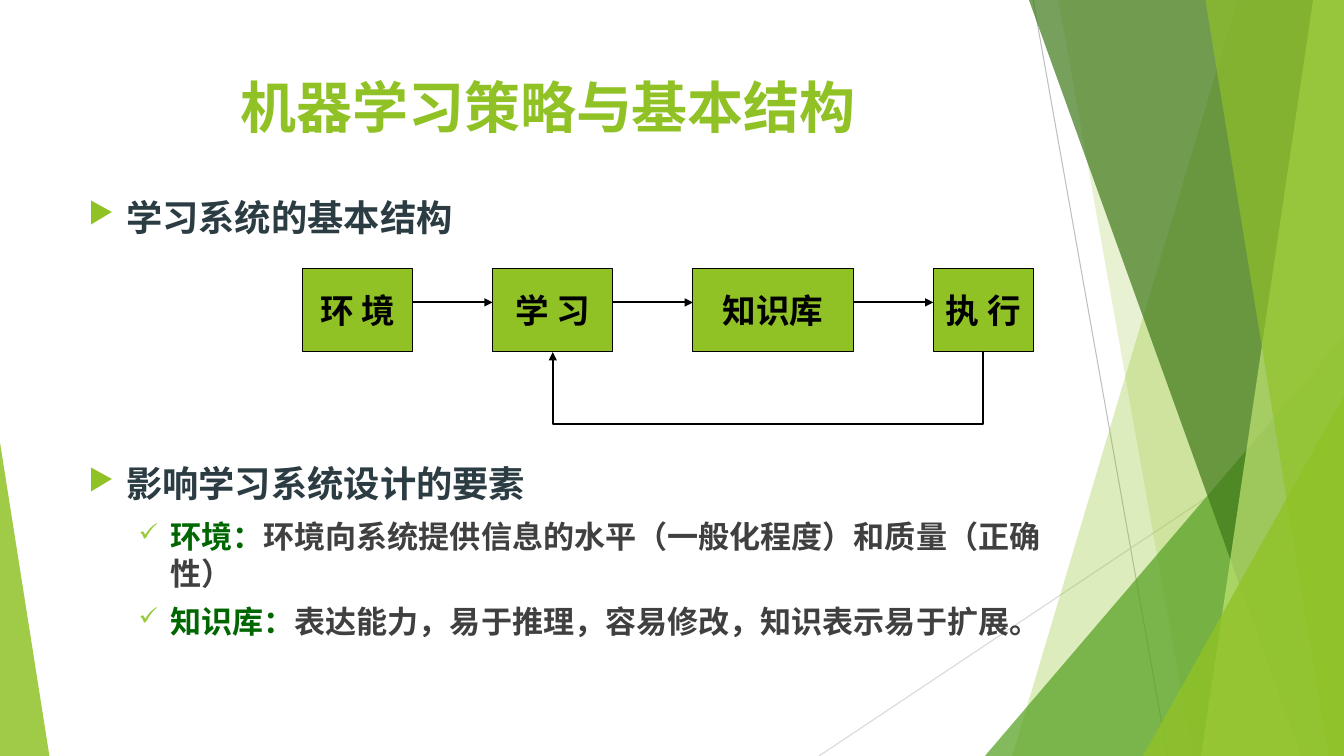
"""Build the slide on machine learning strategy and basic structure."""
from lxml import etree
from pptx import Presentation
from pptx.dml.color import RGBColor
from pptx.enum.shapes import MSO_CONNECTOR, MSO_SHAPE
from pptx.enum.text import MSO_ANCHOR, PP_ALIGN
from pptx.oxml.ns import qn
from pptx.util import Pt

STRAIGHT, ELBOW = MSO_CONNECTOR.STRAIGHT, MSO_CONNECTOR.ELBOW
RECTANGLE, TRIANGLE = MSO_SHAPE.RECTANGLE, MSO_SHAPE.ISOSCELES_TRIANGLE
TOP, MIDDLE = MSO_ANCHOR.TOP, MSO_ANCHOR.MIDDLE
LEFT, CENTER = PP_ALIGN.LEFT, PP_ALIGN.CENTER

FONT = "Noto Sans CJK SC"
BULLET_FONT = "OpenSymbol"
GREEN = RGBColor(0x90, 0xC2, 0x26)
MID_GREEN = RGBColor(0x54, 0xA0, 0x21)
DEEP_GREEN = RGBColor(0x3F, 0x78, 0x19)
PALE_GREEN = RGBColor(0xC0, 0xE4, 0x74)
CHECK_GREEN = RGBColor(0x99, 0xCA, 0x3C)
TERM_GREEN = RGBColor(0x00, 0x66, 0x00)
SLATE = RGBColor(0x2C, 0x3C, 0x43)
DARK_GRAY = RGBColor(0x40, 0x40, 0x40)
GRAY = RGBColor(0xBF, 0xBF, 0xBF)
LIGHT_GRAY = RGBColor(0xD9, 0xD9, 0xD9)
BLACK = RGBColor(0, 0, 0)

SLIDE_WIDTH, SLIDE_HEIGHT = 960, 540
TITLE = "机器学习策略与基本结构"
HEADING = {"size": 25.9, "margin": 27, "hang": 27, "bullet": "▶", "color": GREEN}
ELEMENT = {"size": 22.2, "margin": 58.5, "hang": 22.5, "bullet": "✓", "color": CHECK_GREEN}
BODY = [
    (HEADING, 0, [("学习系统的基本结构", SLATE)]),
    (HEADING, 159, [("影响学习系统设计的要素", SLATE)]),
    (ELEMENT, 9, [("环境：", TERM_GREEN),
                  ("环境向系统提供信息的水平（一般化程度）和质量（正确性）", DARK_GRAY)]),
    (ELEMENT, 7, [("知识库：", TERM_GREEN),
                  ("表达能力，易于推理，容易修改，知识表示易于扩展。", DARK_GRAY)]),
]
STAGES = [("环 境", 78.6), ("学 习", 85.8), ("知识库", 114.4), ("执 行", 71.5)]
STAGE_LEFT, STAGE_TOP, STAGE_HEIGHT, STAGE_GAP = 216, 192, 59, 57.3
ARROW_Y, FEEDBACK_DROP = 216, 53

RAYS = [((738, 0), (834, 540), GRAY), ((960, 290), (585, 540), LIGHT_GRAY)]
BACKDROP = [
    ("band", (884, 723), GREEN, 30),
    ("band", (756, 852), GREEN, 20),
    ("triangle", (703.5, 240, 256.5, 1), MID_GREEN, 72),
    ("band", (735, 929.5), DEEP_GREEN, 70),
    ("band", (938, 858), PALE_GREEN, 70),
    ("band", (861, 949), GREEN, 65),
    ("triangle", (816.5, 283, 143.5, 1), GREEN, 80),
    ("triangle", (0, 316, 35.3, 0), GREEN, 85),
]


def add_element(parent, tag, **attributes):
    return etree.SubElement(parent, qn(tag), attributes)


def fill_shape(shape, color, opacity=100):
    shape.shadow.inherit = False
    shape.fill.solid()
    shape.fill.fore_color.rgb = color
    if opacity < 100:
        color_node = shape._element.spPr.find(qn("a:solidFill"))[0]
        add_element(color_node, "a:alpha", val=str(opacity * 1000))


def add_run(paragraph, text, size, color):
    run = paragraph.add_run()
    run.text = text
    run.font.size = Pt(size)
    run.font.bold = True
    run.font.color.rgb = color
    run.font.name = FONT
    add_element(run._r.get_or_add_rPr(), "a:ea", typeface=FONT)


def add_line(slide, kind, begin, end, color, width, arrow=False):
    points = [Pt(value) for value in (*begin, *end)]
    connector = slide.shapes.add_connector(kind, *points)
    connector.line.color.rgb = color
    connector.line.width = Pt(width)
    if arrow:
        add_element(connector.line._get_or_add_ln(), "a:tailEnd", type="triangle")
    add_element(connector._element.spPr, "a:effectLst")
    return connector


def add_backdrop(slide):
    for begin, end, color in RAYS:
        add_line(slide, STRAIGHT, begin, end, color, 0.75)
    for kind, geometry, color, opacity in BACKDROP:
        if kind == "band":
            top_x, bottom_x = geometry
            builder = slide.shapes.build_freeform(Pt(top_x), 0)
            corners = [(SLIDE_WIDTH, 0), (SLIDE_WIDTH, SLIDE_HEIGHT), (bottom_x, SLIDE_HEIGHT)]
            builder.add_line_segments([(Pt(x), Pt(y)) for x, y in corners], close=True)
            shape = builder.convert_to_shape()
        else:
            left, top, width, apex = geometry
            shape = slide.shapes.add_shape(
                TRIANGLE, Pt(left), Pt(top), Pt(width), Pt(SLIDE_HEIGHT - top))
            shape.adjustments[0] = apex
        fill_shape(shape, color, opacity)
        shape.line.fill.background()


def add_text_frame(slide, left, top, width, height):
    box = slide.shapes.add_textbox(Pt(left), Pt(top), Pt(width), Pt(height))
    box.text_frame.word_wrap = True
    box.text_frame.vertical_anchor = TOP
    return box.text_frame


def add_title(slide):
    paragraph = add_text_frame(slide, 53, 48, 677, 104).paragraphs[0]
    paragraph.alignment = CENTER
    add_run(paragraph, TITLE, 40, GREEN)


def add_body(slide):
    frame = add_text_frame(slide, 56, 136, 724, 305)
    for index, (style, space, runs) in enumerate(BODY):
        paragraph = frame.add_paragraph() if index else frame.paragraphs[0]
        paragraph.alignment = LEFT
        paragraph.space_before = Pt(space)
        properties = paragraph._p.get_or_add_pPr()
        properties.set("marL", str(Pt(style["margin"])))
        properties.set("indent", str(-Pt(style["hang"])))
        bullet_color = add_element(properties, "a:buClr")
        add_element(bullet_color, "a:srgbClr", val=str(style["color"]))
        add_element(properties, "a:buSzPct", val="80000")
        add_element(properties, "a:buFont", typeface=BULLET_FONT)
        add_element(properties, "a:buChar", char=style["bullet"])
        for text, color in runs:
            add_run(paragraph, text, style["size"], color)


def add_feedback(slide, start_x, end_x, y):
    middle, half = (start_x + end_x) / 2, (start_x - end_x) / 2
    connector = add_line(slide, ELBOW, (middle - 0.5, y - half),
                         (middle + 0.5, y + half), BLACK, 1.5, arrow=True)
    properties = connector._element.spPr
    properties.find(qn("a:xfrm")).set("rot", "5400000")
    adjustments = properties.find(qn("a:prstGeom")).find(qn("a:avLst"))
    add_element(adjustments, "a:gd", name="adj1", fmla=f"val {FEEDBACK_DROP * 100000}")


def add_diagram(slide):
    left, centers = STAGE_LEFT, []
    for index, (name, width) in enumerate(STAGES):
        shape = slide.shapes.add_shape(
            RECTANGLE, Pt(left), Pt(STAGE_TOP), Pt(width), Pt(STAGE_HEIGHT))
        fill_shape(shape, GREEN)
        shape.line.color.rgb = BLACK
        shape.line.width = Pt(0.75)
        shape.text_frame.word_wrap = False
        shape.text_frame.vertical_anchor = MIDDLE
        paragraph = shape.text_frame.paragraphs[0]
        paragraph.alignment = CENTER
        add_run(paragraph, name, 24, BLACK)
        if index:
            add_line(slide, STRAIGHT, (left - STAGE_GAP, ARROW_Y), (left, ARROW_Y),
                     BLACK, 1.5, arrow=True)
        centers.append(left + width / 2)
        left += width + STAGE_GAP
    add_feedback(slide, centers[3], centers[1], STAGE_TOP + STAGE_HEIGHT)


def main():
    presentation = Presentation()
    presentation.slide_width, presentation.slide_height = Pt(SLIDE_WIDTH), Pt(SLIDE_HEIGHT)
    slide = presentation.slides.add_slide(presentation.slide_layouts[6])
    add_backdrop(slide)
    add_title(slide)
    add_body(slide)
    add_diagram(slide)
    presentation.save("out.pptx")


if __name__ == "__main__":
    main()
